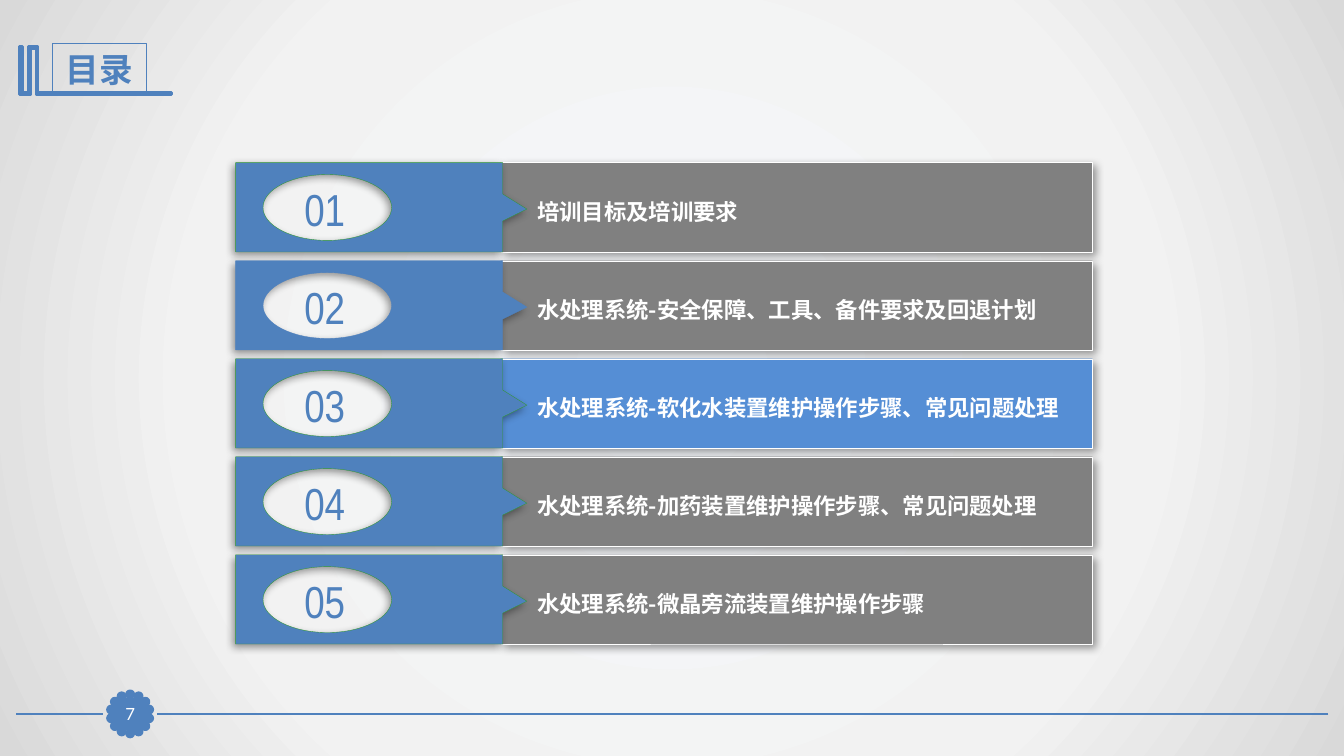
"""Build the contents slide of a water treatment training deck."""
from math import cos, pi, sin

from lxml.etree import SubElement
from pptx import Presentation
from pptx.dml.color import RGBColor
from pptx.enum.shapes import MSO_CONNECTOR, MSO_SHAPE
from pptx.enum.text import MSO_ANCHOR, PP_ALIGN
from pptx.oxml import parse_xml
from pptx.oxml.ns import nsdecls, qn
from pptx.util import Cm, Pt

COLORS = {
    "blue": "4F81BD", "cyan": "28A9D6", "highlight": "558ED5", "gray": "808080",
    "green": "339933", "white": "FFFFFF", "black": "000000",
}
BACKGROUND_STOPS = [(0, "F6F9FC"), (63, "F2F2F2"), (100, "D9D9D9")]
CJK_FONT = "Noto Sans CJK SC"
TITLE = {"name": "Arial Narrow", "size": Pt(24), "bold": True}
NUMBER = {"name": "Arial Narrow", "size": Pt(32)}
PAGE = {"name": "Lato", "size": Pt(12)}
TOPIC_LEAD = {"name": CJK_FONT, "size": Pt(16), "bold": True}
TOPIC = {"name": "Lato", "size": Pt(16), "bold": True}
CENTERED = {"vertical_anchor": MSO_ANCHOR.MIDDLE, "word_wrap": True}
NO_MARGINS = {"margin_left": 0, "margin_top": 0, "margin_right": 0, "margin_bottom": 0}

ROW_TOP, ROW_PITCH, ROW_HEIGHT = 4.1, 2.47, 2.25
ROWS = [
    ("", "培训目标及培训要求", "gray", "green"),
    ("水处理系统-", "安全保障、工具、备件要求及回退计划", "gray", "blue"),
    ("水处理系统-软化水装置", "维护操作步骤、常见问题处理", "highlight", "green"),
    ("水处理系统-加药装置", "维护操作步骤、常见问题处理", "gray", "green"),
    ("水处理系统-微晶旁流装置", "维护操作步骤", "gray", "green"),
]
TAB_LEFT = 5.94
TAB_OUTLINE = [(TAB_LEFT, 0), (12.67, 0), (12.67, 0.79), (13.28, 1.17),
               (12.67, 1.47), (12.67, ROW_HEIGHT), (TAB_LEFT, ROW_HEIGHT)]
BOOK_OUTLINE = [
    (0.94, 1.17), (0.96, 1.17), (0.96, 2.34), (4.33, 2.34), (4.33, 2.39), (0.91, 2.39),
    (0.91, 1.22), (0.78, 1.22), (0.78, 2.39), (0.49, 2.39), (0.49, 1.17), (0.56, 1.17),
    (0.56, 2.33), (0.71, 2.33), (0.71, 1.17),
]


def rgb(color):
    """Return the named colour."""
    return RGBColor.from_string(COLORS[color])


def apply_format(target, values):
    """Set each attribute of the target from a dict."""
    for name, value in values.items():
        setattr(target, name, value)


def set_background(slide):
    """Fill the background with a gradient that spreads from the centre."""
    stops = "".join(f'<a:gs pos="{position * 1000}"><a:srgbClr val="{color}"/></a:gs>'
                    for position, color in BACKGROUND_STOPS)
    background = parse_xml(
        f'<p:bg {nsdecls("p", "a")}><p:bgPr><a:gradFill rotWithShape="1">'
        f'<a:gsLst>{stops}</a:gsLst><a:path path="circle">'
        '<a:fillToRect l="50000" t="50000" r="50000" b="50000"/></a:path>'
        '</a:gradFill><a:effectLst/></p:bgPr></p:bg>')
    slide.element.cSld.insert(0, background)


def style_shape(shape, fill, line, width, shadow_angle=None):
    """Set fill, outline and optional shadow."""
    if fill:
        shape.fill.solid()
        shape.fill.fore_color.rgb = rgb(fill)
    else:
        shape.fill.background()
    shape.line.color.rgb = rgb(line)
    shape.line.width = Pt(width)
    shape.shadow.inherit = False
    if shadow_angle is not None:
        effects = shape.element.spPr.find(qn("a:effectLst"))
        shadow = SubElement(effects, qn("a:outerShdw"), blurRad=str(Pt(6)),
                            dist=str(Pt(3)), dir=str(shadow_angle * 60000),
                            algn="ctr", rotWithShape="0")
        color = SubElement(shadow, qn("a:srgbClr"), val=COLORS["black"])
        SubElement(color, qn("a:alpha"), val="40000")


def add_preset(shapes, kind, box, fill, line, width, shadow_angle=None):
    """Add a styled preset shape; box is left, top, width, height."""
    shape = shapes.add_shape(kind, *map(Cm, box))
    style_shape(shape, fill, line, width, shadow_angle)
    return shape


def add_outline(shapes, points, fill, line, width, shadow_angle=None):
    """Add a closed freeform."""
    corners = [(Cm(x), Cm(y)) for x, y in points]
    builder = shapes.build_freeform(*corners[0])
    builder.add_line_segments(corners[1:], close=True)
    shape = builder.convert_to_shape()
    style_shape(shape, fill, line, width, shadow_angle)
    return shape


def cut_oval_window(shape, center_x, center_y, radius_x, radius_y):
    """Cut an oval out of a freeform, measured from its top left corner."""
    outline = shape.element.spPr.find(".//" + qn("a:path"))
    handle = 0.55

    def add_step(tag, units):
        """Append one drawing step with points in units of the radii."""
        step = SubElement(outline, qn(tag))
        for x, y in units:
            SubElement(step, qn("a:pt"), x=str(Cm(center_x + x * radius_x)),
                       y=str(Cm(center_y + y * radius_y)))

    add_step("a:moveTo", [(0, -1)])
    x, y = 0, -1
    for _ in range(4):
        next_x, next_y = y, -x
        add_step("a:cubicBezTo", [(x + handle * next_x, y + handle * next_y),
                                  (next_x + handle * x, next_y + handle * y),
                                  (next_x, next_y)])
        x, y = next_x, next_y
    SubElement(outline, qn("a:close"))


def add_line(shapes, start, end, color, width):
    """Add a straight line without shadow."""
    connector = shapes.add_connector(MSO_CONNECTOR.STRAIGHT, *map(Cm, start + end))
    connector.line.color.rgb = rgb(color)
    connector.line.width = Pt(width)
    SubElement(connector.element.spPr, qn("a:effectLst"))


def write_text(shape, runs, color, alignment, frame_format):
    """Write one paragraph of formatted runs."""
    frame = shape.text_frame
    apply_format(frame, frame_format)
    paragraph = frame.paragraphs[0]
    paragraph.alignment = alignment
    for text, font_format in runs:
        run = paragraph.add_run()
        run.text = text
        apply_format(run.font, font_format)
        run.font.color.rgb = rgb(color)
        SubElement(run.font._element, qn("a:ea"), typeface=CJK_FONT)


def add_title(slide):
    """Add the book outline and the framed title."""
    add_outline(slide.shapes, BOOK_OUTLINE, "cyan", "blue", 2)
    frame = add_preset(slide.shapes, MSO_SHAPE.RECTANGLE, (1.32, 1.09, 2.38, 1.28),
                       None, "blue", 0.75)
    write_text(frame, [("目录", TITLE)], "blue", PP_ALIGN.CENTER, CENTERED)


def add_footer(slide, page):
    """Add the footer lines and the scalloped page badge."""
    add_line(slide.shapes, (33.48, 18), (3.97, 18), "blue", 1.25)
    add_line(slide.shapes, (2.59, 18), (0.4, 18), "blue", 1.25)
    dots = slide.shapes.add_group_shape().shapes
    dot_count = 14
    for index in range(dot_count):
        angle = 2 * pi * index / dot_count
        left, top = 3.19 + 0.49 * sin(angle), 17.9 - 0.49 * cos(angle)
        add_preset(dots, MSO_SHAPE.OVAL, (left, top, 0.18, 0.18), "blue", "blue", 2)
    badge = add_preset(slide.shapes, MSO_SHAPE.RECTANGLE, (2.88, 17.6, 0.81, 0.79),
                       "blue", "blue", 0.75)
    write_text(badge, [(page, PAGE)], "white", PP_ALIGN.CENTER, {**CENTERED, **NO_MARGINS})


def add_row(slide, index, lead, topic, bar_color, tab_line):
    """Add one contents row: bar, arrow tab, number and topic."""
    top = ROW_TOP + index * ROW_PITCH
    shapes = slide.shapes.add_group_shape().shapes
    add_preset(shapes, MSO_SHAPE.RECTANGLE, (12.62, top, 14.91, ROW_HEIGHT),
               bar_color, "white", 0.25, 45)
    points = [(x, top + y) for x, y in TAB_OUTLINE]
    tab = add_outline(shapes, points, "blue", tab_line, 0.25, 135)
    cut_oval_window(tab, 8.25 - TAB_LEFT, 1.13, 1.62, 0.83)
    number = shapes.add_textbox(*map(Cm, (6.9, top + 0.33, 2.57, 1.63)))
    write_text(number, [(f"{index + 1:02}", NUMBER)], "blue", PP_ALIGN.CENTER, CENTERED)
    label = shapes.add_textbox(*map(Cm, (13.29, top + 0.77, 14.25, 0.94)))
    runs = [(lead, TOPIC_LEAD), (topic, TOPIC)] if lead else [(topic, TOPIC)]
    write_text(label, runs, "white", PP_ALIGN.LEFT, {"word_wrap": True})


def main():
    """Build and save the slide."""
    presentation = Presentation()
    presentation.slide_width, presentation.slide_height = Cm(33.87), Cm(19.05)
    slide = presentation.slides.add_slide(presentation.slide_layouts[6])
    set_background(slide)
    add_footer(slide, "7")
    add_title(slide)
    add_line(slide.shapes, (13.54, 6.35), (18.72, 6.35), "white", 1.5)
    for index, row in enumerate(ROWS):
        add_row(slide, index, *row)
    presentation.save("out.pptx")


if __name__ == "__main__":
    main()
